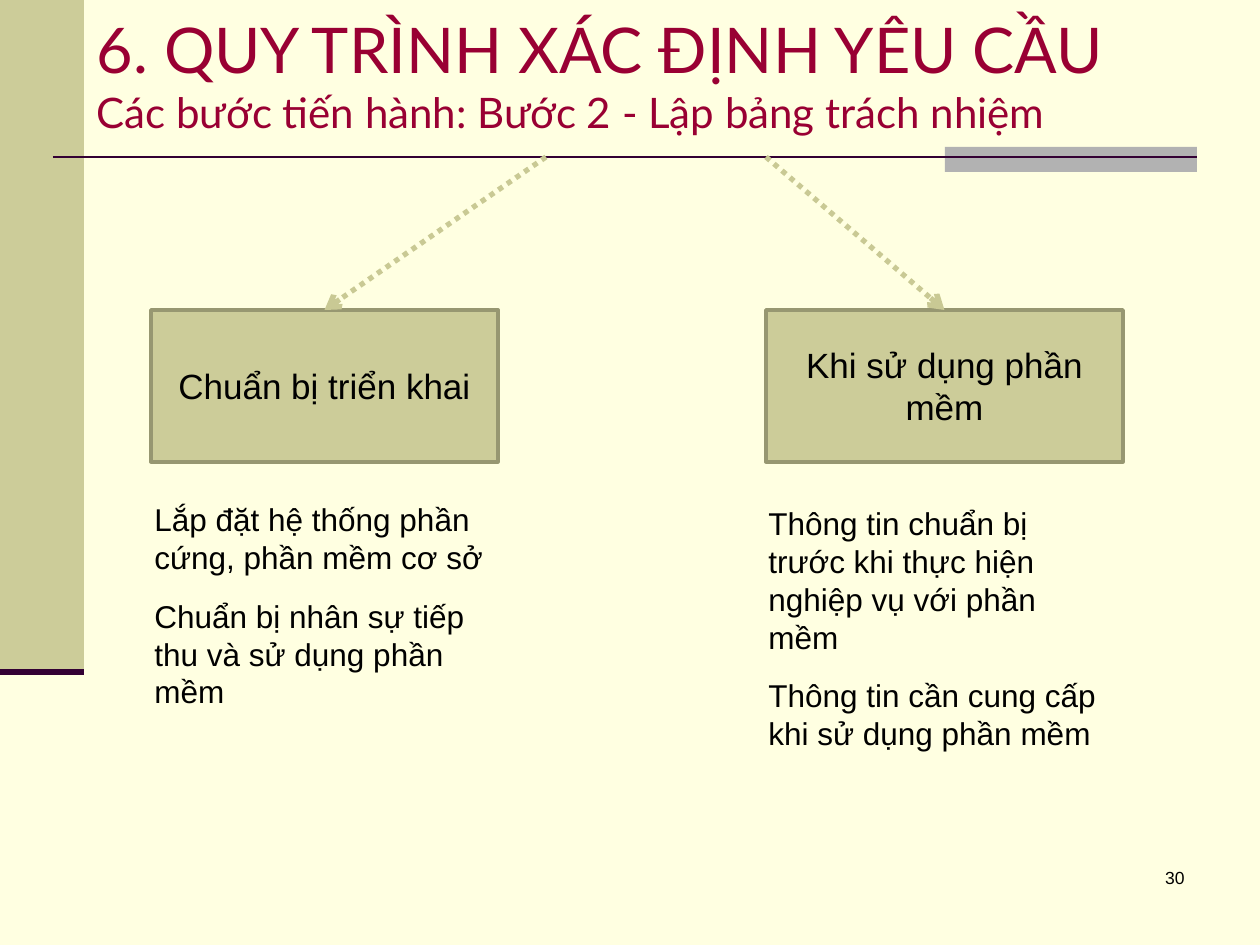
import pptx
import pptx.util
import pptx.dml.color
import pptx.enum.dml
import pptx.enum.shapes
import pptx.enum.text
import pptx.oxml.ns
import lxml.etree

SCALE = 914400 / 126
ALIGN = pptx.enum.text.PP_ALIGN
ANCHOR = pptx.enum.text.MSO_ANCHOR
SHAPE = pptx.enum.shapes.MSO_SHAPE
DASH = pptx.enum.dml.MSO_LINE
KHAKI, PLUM = "CCCC99", "330033"

# Box left and width, arrow start, box label, note left, top and width, notes
STEPS = [
    (151, 347, 546, "Chuẩn bị triển khai", 142, 494, 355,
     ["Lắp đặt hệ thống phần cứng, phần mềm cơ sở",
      "Chuẩn bị nhân sự tiếp thu và sử dụng phần mềm"]),
    (766, 357, 766, "Khi sử dụng phần mềm", 756, 498, 368,
     ["Thông tin chuẩn bị trước khi thực hiện nghiệp vụ với phần mềm",
      "Thông tin cần cung cấp khi sử dụng phần mềm"]),
]


def px(*nums):
    return [round(n * SCALE) for n in nums]


def color(code):
    return pptx.dml.color.RGBColor.from_string(code)


def style(run, size, font, ink):
    run.font.size = pptx.util.Pt(size)
    run.font.name = font
    run.font.color.rgb = color(ink)


def write(frame, paras, size=18, font="Arial", ink="000000",
          align=ALIGN.LEFT, anchor=ANCHOR.TOP, gap=0):
    """Fill a frame with paragraphs, with gap points between them."""
    frame.word_wrap = True
    frame.vertical_anchor = anchor
    for i, text in enumerate(paras):
        para = frame.add_paragraph() if i else frame.paragraphs[0]
        para.alignment = align
        para.space_before = pptx.util.Pt(gap if i else 0)
        para.space_after = pptx.util.Pt(gap)
        run = para.add_run()
        run.text = text
        style(run, size, font, ink)


def rect(slide, area, fill, edge=None):
    shape = slide.shapes.add_shape(SHAPE.RECTANGLE, *px(*area))
    shape.shadow.inherit = False
    shape.fill.solid()
    shape.fill.fore_color.rgb = color(fill)
    if edge:
        shape.line.color.rgb = color(edge)
        shape.line.width = pptx.util.Pt(2)
    else:
        shape.line.fill.background()
    return shape


def rule(slide, ends, ink, width):
    line = slide.shapes.add_connector(
        pptx.enum.shapes.MSO_CONNECTOR.STRAIGHT, *px(*ends))
    line.line.color.rgb = color(ink)
    line.line.width = pptx.util.Pt(width)
    lxml.etree.SubElement(line._element.spPr,
                          pptx.oxml.ns.qn("a:effectLst"))
    return line


def arrow(slide, start, box):
    """Draw a dotted arrow from a point to the top of a box."""
    line = rule(slide, (*start, *start), "C9C994", 3)
    line.end_connect(box, 0)
    line.line.dash_style = DASH.ROUND_DOT
    tail = lxml.etree.SubElement(line.line._get_or_add_ln(),
                                 pptx.oxml.ns.qn("a:tailEnd"))
    tail.set("type", "arrow")


def note(slide, area, paras, **form):
    box = slide.shapes.add_textbox(*px(*area))
    write(box.text_frame, paras, **form)


def head(slide, top, sub):
    title = slide.shapes.title
    title.left, title.top, title.width, title.height = px(84, 0, 1176, 147)
    write(title.text_frame, [top], size=36, font="Lato", ink="990033",
          anchor=ANCHOR.MIDDLE)
    para = title.text_frame.paragraphs[0]
    para.add_line_break()
    run = para.add_run()
    run.text = sub
    style(run, 24, "Lato", "990033")


def main():
    deck = pptx.Presentation()
    deck.slide_width, deck.slide_height = px(1260, 945)
    slide = deck.slides.add_slide(deck.slide_layouts[5])
    slide.background.fill.solid()
    slide.background.fill.fore_color.rgb = color("FFFFE1")

    rect(slide, (0, 0, 84, 672), KHAKI)
    rect(slide, (945, 147, 252, 25), "B2B2B2")
    rule(slide, (53, 157, 1197, 157), PLUM, 1.5)
    rule(slide, (0, 672, 84, 672), PLUM, 3.5)
    head(slide, "6. QUY TRÌNH XÁC ĐỊNH YÊU CẦU",
         "Các bước tiến hành: Bước 2 - Lập bảng trách nhiệm")

    for left, width, start, label, x, y, wide, notes in STEPS:
        box = rect(slide, (left, 310, width, 152), KHAKI, "979771")
        write(box.text_frame, [label], size=20, align=ALIGN.CENTER,
              anchor=ANCHOR.MIDDLE)
        arrow(slide, (start, 157), box)
        note(slide, (x, y, wide, 225), notes, gap=6)

    note(slide, (935, 861, 262, 63), ["30"], size=10, align=ALIGN.RIGHT)
    deck.save("out.pptx")


if __name__ == "__main__":
    main()
